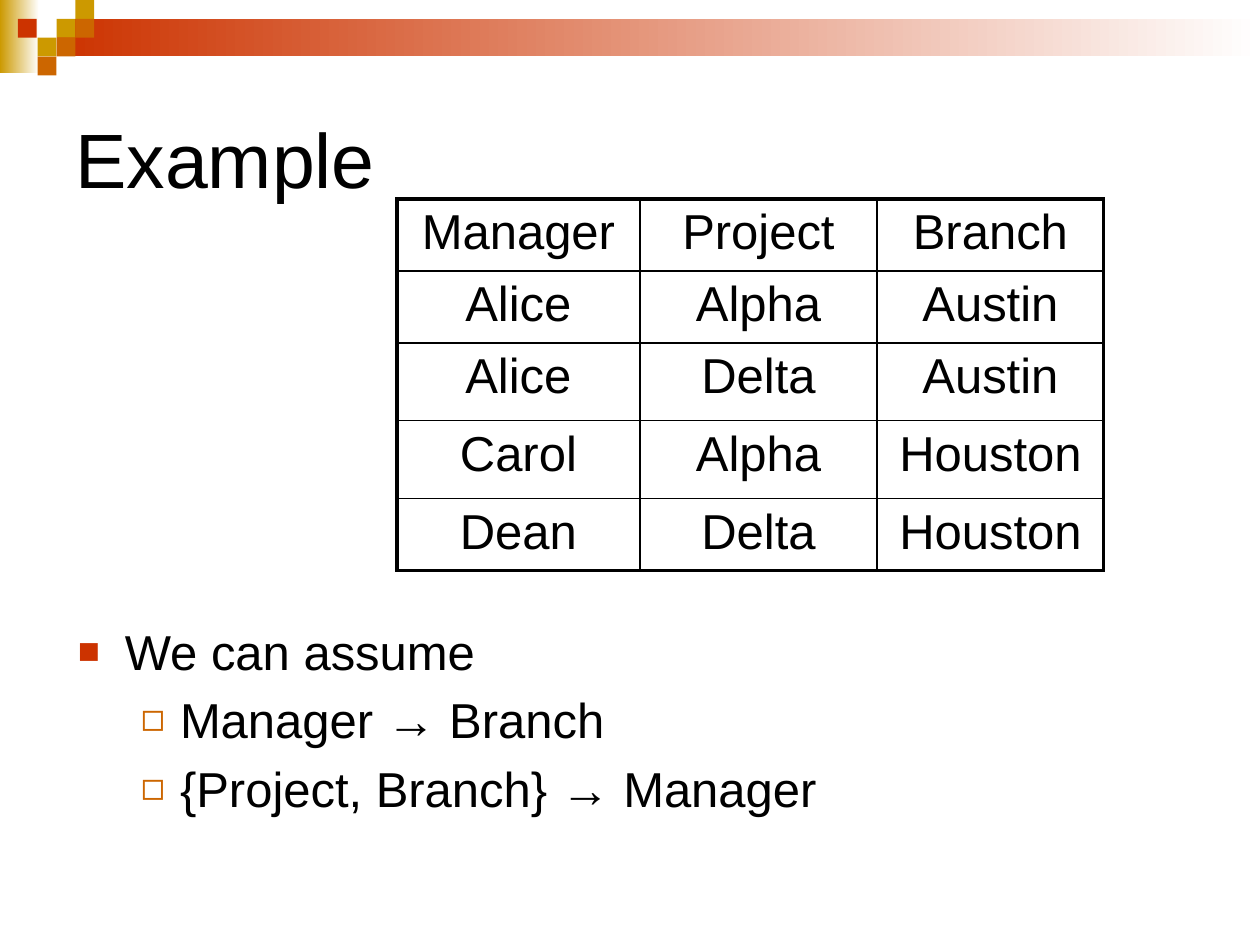
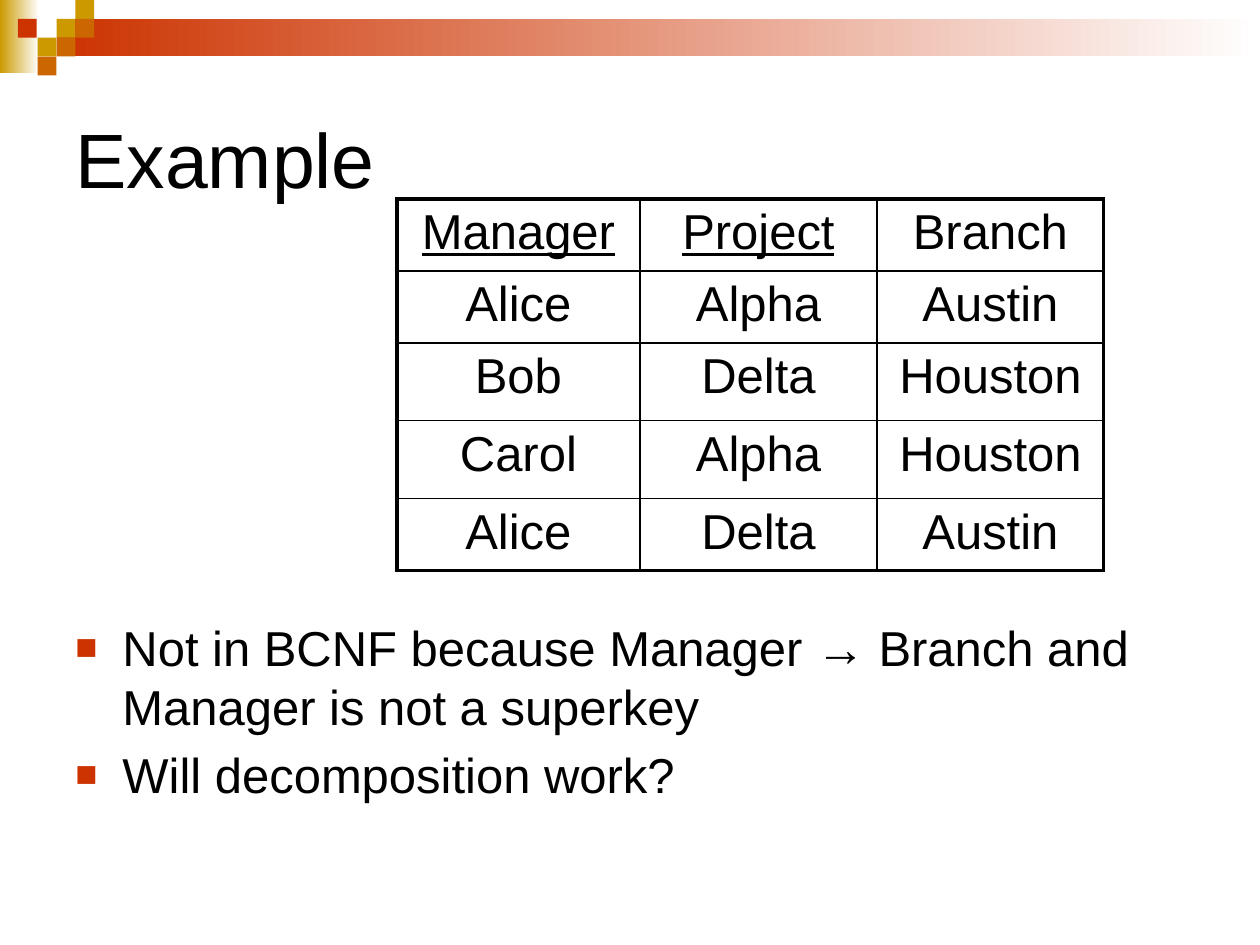
from lxml.etree import SubElement
from pptx import Presentation
from pptx.dml.color import RGBColor
from pptx.enum.shapes import MSO_SHAPE as Preset
from pptx.enum.text import MSO_ANCHOR as Anchor, PP_ALIGN as Align
from pptx.oxml.ns import qn
from pptx.util import Cm, Pt

GOLD, ORANGE, RED = "CC9900", "CC6600", "CC3300"
BLACK, WHITE = "000000", "FFFFFF"
SQUARE = 0.38
SQUARES = [(3, 1, GOLD), (4, 0, GOLD), (4, 1, ORANGE), (2, 2, GOLD),
           (0.95, 1, RED), (3, 2, ORANGE), (2, 3, ORANGE)]
LEVELS = [
    {"margin": 0.95, "hanging": 0.95, "mark": "■", "colour": RED, "percent": 75},
    {"margin": 2.06, "hanging": 0.79, "mark": "◻", "colour": ORANGE, "percent": 80},
]
COLUMN_WIDTHS = [4.9, 4.78, 4.57]
ROW_HEIGHTS = [1.45, 1.45, 1.57, 1.57, 1.45]
HEADINGS = ["Manager", "Project", "Branch"]


def rgb(code):
    return RGBColor.from_string(code)


def assign(target, formats):
    for attribute, value in formats.items():
        setattr(target, attribute, value)


def add_element(parent, tag, **attributes):
    element = SubElement(parent, qn(tag))
    for key, value in attributes.items():
        element.set(key, str(value))
    return element


class Deck:
    """Holds the shared style and the slide being built."""

    def __init__(self):
        self.presentation = Presentation()
        assign(self.presentation, {"slide_width": Cm(25.4), "slide_height": Cm(19.05)})
        self.font = {"name": "Arial", "size": Pt(28)}
        self.slide = None

    def start_slide(self, title):
        layout = self.presentation.slide_layouts[6]
        self.slide = self.presentation.slides.add_slide(layout)
        self.rectangle(0, 0, 0.79, 1.47, GOLD, WHITE)
        self.rectangle(1.14, 0.38, 24.26, 0.76, RED, WHITE)
        for column, row, colour in SQUARES:
            self.rectangle(column * SQUARE, row * SQUARE, SQUARE, SQUARE, colour)
        heading = self.text_frame(1.27, 1.27, 22.86, 3.81, Anchor.MIDDLE)
        self.add_text(heading.paragraphs[0], title, size=Pt(44))

    def rectangle(self, left, top, width, height, colour, fade_to=None):
        block = self.slide.shapes.add_shape(
            Preset.RECTANGLE, Cm(left), Cm(top), Cm(width), Cm(height))
        block.shadow.inherit = False
        block.line.fill.background()
        if fade_to:
            block.fill.gradient()
            block.fill.gradient_angle = 0
            for stop, code in zip(block.fill.gradient_stops, (colour, fade_to)):
                stop.color.rgb = rgb(code)
        else:
            block.fill.solid()
            block.fill.fore_color.rgb = rgb(colour)

    def text_frame(self, left, top, width, height, anchor=Anchor.TOP):
        frame = self.slide.shapes.add_textbox(
            Cm(left), Cm(top), Cm(width), Cm(height)).text_frame
        assign(frame, {"word_wrap": True, "vertical_anchor": anchor})
        return frame

    def add_text(self, paragraph, text, **formats):
        run = paragraph.add_run()
        run.text = text
        assign(run.font, {**self.font, **formats})
        run.font.color.rgb = rgb(BLACK)

    def space_before(self, paragraph):
        properties = paragraph._p.get_or_add_pPr()
        add_element(add_element(properties, "a:spcBef"), "a:spcPct", val=20000)
        return properties

    def bullets(self, left, top, height, points):
        frame = self.text_frame(left, top, 22.86, height)
        for index, (depth, text) in enumerate(points):
            point = frame.add_paragraph() if index else frame.paragraphs[0]
            level = LEVELS[depth]
            point.level = depth
            properties = self.space_before(point)
            properties.set("marL", str(Cm(level["margin"])))
            properties.set("indent", str(-Cm(level["hanging"])))
            add_element(add_element(properties, "a:buClr"), "a:srgbClr", val=level["colour"])
            add_element(properties, "a:buSzPct", val=level["percent"] * 1000)
            add_element(properties, "a:buFont", typeface=self.font["name"])
            add_element(properties, "a:buChar", char=level["mark"])
            self.add_text(point, text)

    def border(self, cell, side, outer):
        edge = add_element(cell._tc.get_or_add_tcPr(), f"a:ln{side}",
                           w=Pt(2.25 if outer else 1))
        add_element(add_element(edge, "a:solidFill"), "a:srgbClr", val=BLACK)

    def table(self, records, keys=()):
        rows = [HEADINGS, *records]
        grid = self.slide.shapes.add_table(
            len(rows), len(HEADINGS), Cm(8), Cm(4.01),
            Cm(sum(COLUMN_WIDTHS)), Cm(sum(ROW_HEIGHTS))).table
        assign(grid, {"first_row": False, "horz_banding": False})
        for column, width in zip(grid.columns, COLUMN_WIDTHS):
            column.width = Cm(width)
        for row, height in zip(grid.rows, ROW_HEIGHTS):
            row.height = Cm(height)
        last_row, last_column = len(rows) - 1, len(HEADINGS) - 1
        for r, record in enumerate(rows):
            for c, value in enumerate(record):
                cell = grid.cell(r, c)
                outer_sides = {"L": c == 0, "R": c == last_column,
                               "T": r == 0, "B": r == last_row}
                for side, outer in outer_sides.items():
                    self.border(cell, side, outer)
                cell.fill.background()
                entry = cell.text_frame.paragraphs[0]
                entry.alignment = Align.CENTER
                self.space_before(entry)
                self.add_text(entry, value, underline=r == 0 and value in keys)


def main():
    deck = Deck()

    deck.start_slide("Example")
    deck.bullets(1.32, 12.4, 6, [
        (0, "We can assume"),
        (1, "Manager → Branch"),
        (1, "{Project, Branch} → Manager"),
    ])
    deck.table([
        ["Alice", "Alpha", "Austin"],
        ["Alice", "Delta", "Austin"],
        ["Carol", "Alpha", "Houston"],
        ["Dean", "Delta", "Houston"],
    ])

    deck.start_slide("Example")
    deck.bullets(1.27, 12.32, 6.2, [
        (0, "Not in BCNF because Manager → Branch and Manager is not a superkey"),
        (0, "Will decomposition work?"),
    ])
    deck.table([
        ["Alice", "Alpha", "Austin"],
        ["Bob", "Delta", "Houston"],
        ["Carol", "Alpha", "Houston"],
        ["Alice", "Delta", "Austin"],
    ], keys=("Manager", "Project"))

    deck.presentation.save("out.pptx")


if __name__ == "__main__":
    main()
